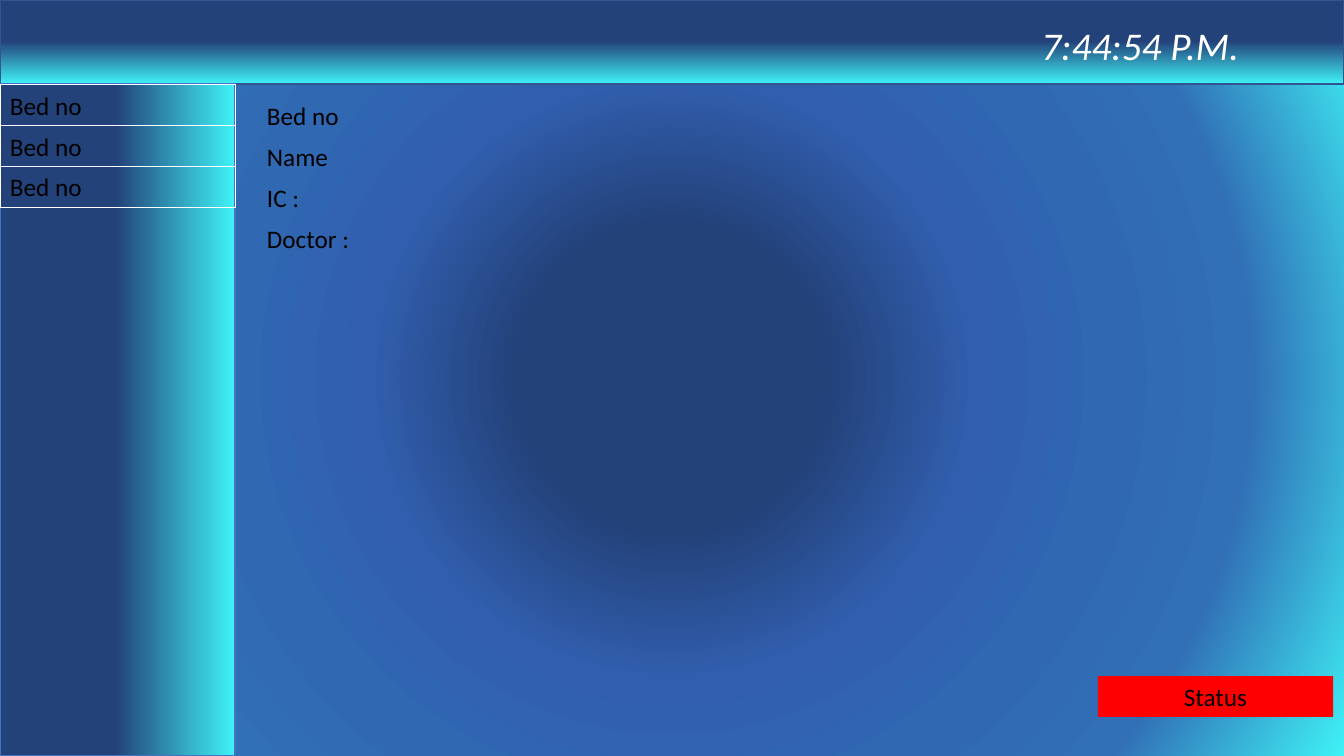
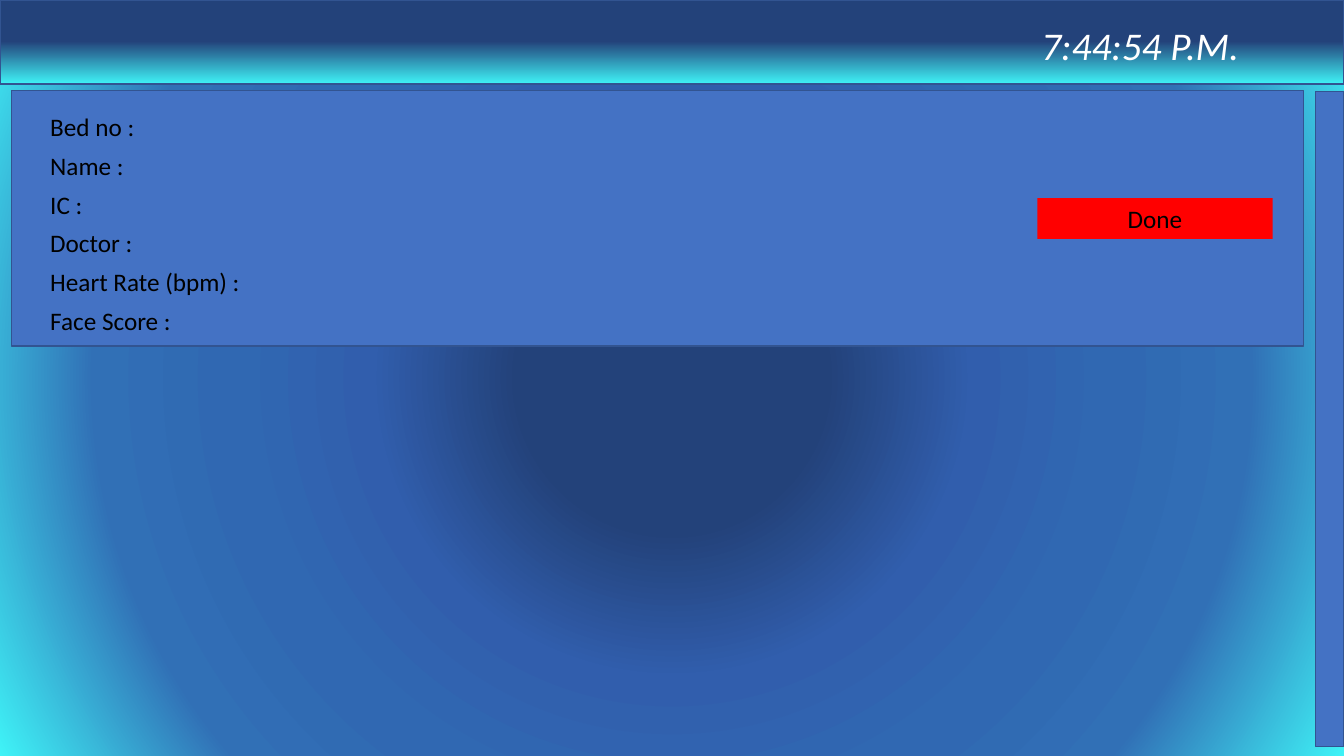
from dataclasses import dataclass

from lxml import etree
from pptx import Presentation
from pptx.dml.color import RGBColor
from pptx.enum.shapes import MSO_SHAPE
from pptx.enum.text import MSO_ANCHOR, MSO_AUTO_SIZE, PP_ALIGN
from pptx.oxml.ns import qn
from pptx.util import Emu, Pt

RECT = MSO_SHAPE.RECTANGLE
LEFT, CENTER = PP_ALIGN.LEFT, PP_ALIGN.CENTER
MIDDLE = MSO_ANCHOR.MIDDLE
GROW = MSO_AUTO_SIZE.SHAPE_TO_FIT_TEXT

# Square grid: 160 columns by 90 rows
COLS, ROWS = 160, 90
UNIT = Emu(76200)
BAR = 10      # height of the top bar
SIDE = 28     # width of the side bar, bed rows and buttons
LINE = 4.85   # height of one line of text


@dataclass(frozen=True)
class Theme:
    font: str = "Calibri"
    body: int = 18
    clock: int = 28
    ink: str = "000000"
    white: str = "FFFFFF"
    red: str = "FF0000"
    blue: str = "4472C4"
    edge: str = "325491"
    fade: tuple = ((49, "23427A"), (100, "3FF3F7"))
    glow: tuple = ((20, "23427A"), (39, "315EAD"), (57, "3068B2"),
                   (75, "3170B6"), (100, "3FF3F7"))


THEME = Theme()


def place(*box):
    return [Emu(round(n * UNIT)) for n in box]


def rgb(color):
    return RGBColor.from_string(color)


def add_rect(slide, box, fill=None, line=None, width=1):
    shape = slide.shapes.add_shape(RECT, *place(*box))
    shape.shadow.inherit = False
    if fill:
        shape.fill.solid()
        shape.fill.fore_color.rgb = rgb(fill)
    else:
        shape.fill.background()
    if line:
        shape.line.color.rgb = rgb(line)
        shape.line.width = Pt(width)
    else:
        shape.line.fill.background()
    return shape


def add_fade(slide, box, stops, angle=None, line=None):
    """Add a rectangle with a linear gradient, or a round one without angle."""
    shape = add_rect(slide, box, line=line)
    grad = etree.Element(qn("a:gradFill"), rotWithShape="1")
    group = etree.SubElement(grad, qn("a:gsLst"))
    for pos, color in stops:
        stop = etree.SubElement(group, qn("a:gs"), pos=str(pos * 1000))
        etree.SubElement(stop, qn("a:srgbClr"), val=color)
    if angle is None:
        ring = etree.SubElement(grad, qn("a:path"), path="circle")
        etree.SubElement(ring, qn("a:fillToRect"),
                         {side: "50000" for side in "ltrb"})
    else:
        etree.SubElement(grad, qn("a:lin"), ang=str(angle * 60000), scaled="0")
    props = shape.fill._xPr
    props.replace(props.find(qn("a:noFill")), grad)


def write(shape, text, align=LEFT, size=THEME.body, color=THEME.ink,
          italic=False, wrap=True):
    frame = shape.text_frame
    frame.word_wrap = wrap
    frame.auto_size = GROW
    para = frame.paragraphs[0]
    para.text = text
    para.alignment = align
    font = para.font
    font.name, font.size, font.italic = THEME.font, Pt(size), italic
    font.color.rgb = rgb(color)


def add_labels(slide, left, top, pitch, names):
    for i, name in enumerate(names):
        box = place(left, top + i * pitch, 38, LINE)
        write(slide.shapes.add_textbox(*box), name)


def add_beds(slide, count):
    for i in range(count):
        box = (0, BAR + 0.1 + i * LINE, SIDE, LINE)
        cell = add_rect(slide, box, line=THEME.white, width=0.75)
        cell.text_frame.vertical_anchor = MIDDLE
        write(cell, "Bed no")


def add_button(slide, left, top, text):
    button = add_rect(slide, (left, top, SIDE, LINE), THEME.red)
    write(button, text, CENTER)


def add_screen(deck):
    """Add a slide with the backdrop, top bar and clock that all share."""
    slide = deck.slides.add_slide(deck.slide_layouts[6])
    add_fade(slide, (0, 0, COLS, ROWS), THEME.glow)
    add_fade(slide, (0, 0, COLS, BAR), THEME.fade, 90, THEME.edge)
    clock = slide.shapes.add_textbox(*place(122.6, 2, 26.3, 6.9))
    write(clock, "7:44:54 P.M.", CENTER, THEME.clock, THEME.white,
          italic=True, wrap=False)
    return slide


def add_ward(deck):
    slide = add_screen(deck)
    add_fade(slide, (0, BAR, SIDE, ROWS - BAR), THEME.fade, 0, THEME.blue)
    add_labels(slide, 30.6, 11.4, LINE, ("Bed no", "Name", "IC :", "Doctor :"))
    add_beds(slide, 3)
    add_button(slide, 130.7, 80.5, "Status")


def add_alert(deck):
    slide = add_screen(deck)
    add_rect(slide, (1.4, 10.8, 153.8, 30.4), THEME.blue, THEME.edge)
    add_labels(slide, 4.8, 12.7, 4.6,
               ("Bed no :", "Name :", "IC :", "Doctor :",
                "Heart Rate (bpm) :", "Face Score :"))
    add_button(slide, 123.5, 23.6, "Done")
    add_rect(slide, (156.6, 10.9, 3.4, 78), THEME.blue, THEME.edge)


def main():
    deck = Presentation()
    deck.slide_width, deck.slide_height = place(COLS, ROWS)
    add_ward(deck)
    add_alert(deck)
    deck.save("out.pptx")


if __name__ == "__main__":
    main()
